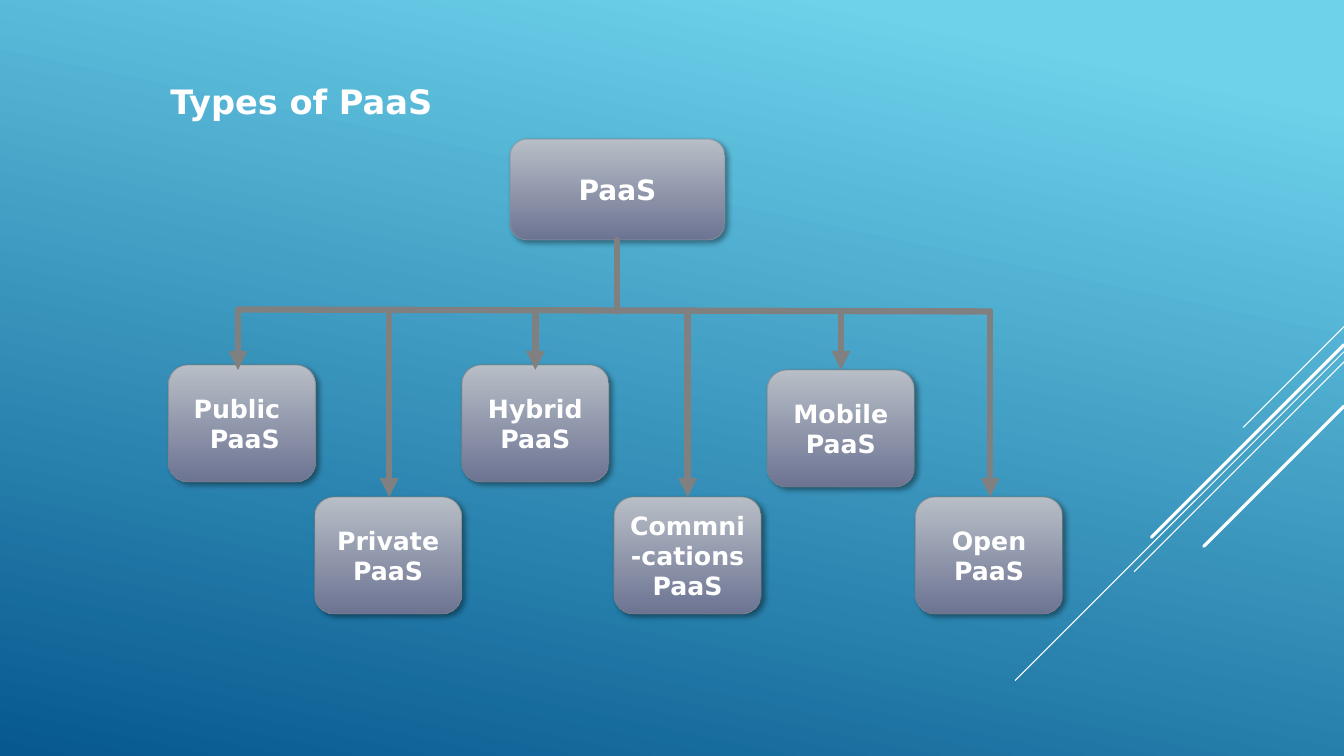
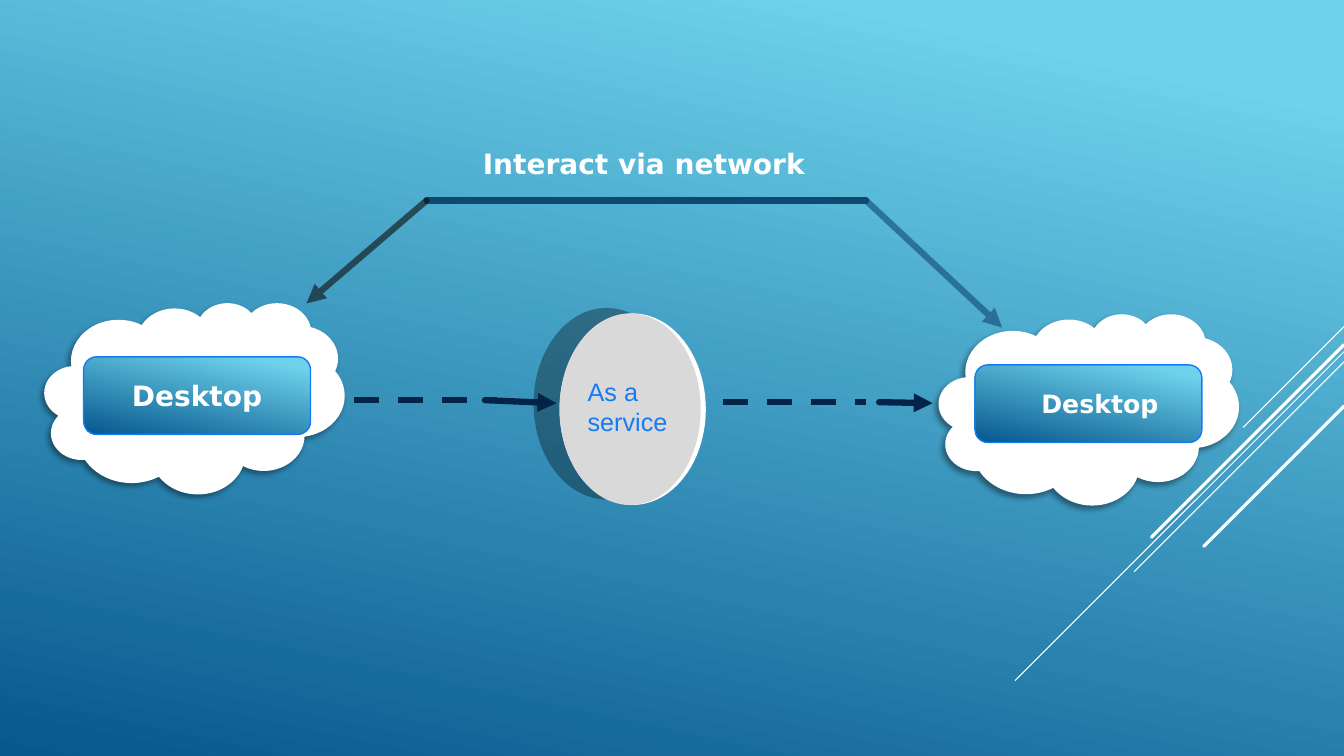
from lxml import etree
from pptx import Presentation
from pptx.dml.color import RGBColor
from pptx.enum.dml import MSO_LINE
from pptx.enum.shapes import MSO_CONNECTOR, MSO_SHAPE
from pptx.enum.text import MSO_ANCHOR, PP_ALIGN
from pptx.oxml.ns import qn
from pptx.util import Inches, Pt

ROUND = MSO_SHAPE.ROUNDED_RECTANGLE
CLOUD = MSO_SHAPE.CLOUD
OVAL = MSO_SHAPE.OVAL
STRAIGHT = MSO_CONNECTOR.STRAIGHT
DASH = MSO_LINE.DASH
LEFT, CENTER = PP_ALIGN.LEFT, PP_ALIGN.CENTER
TOP, MIDDLE = MSO_ANCHOR.TOP, MSO_ANCHOR.MIDDLE

WHITE = RGBColor(0xFF, 0xFF, 0xFF)
SKY = RGBColor(0x6E, 0xD2, 0xEB)
DEEP = RGBColor(0x06, 0x58, 0x8E)
SILVER = RGBColor(0xB8, 0xBE, 0xC6)
SLATE = RGBColor(0x6C, 0x74, 0x93)
EDGE = RGBColor(0x89, 0x91, 0x9C)
GRAY = RGBColor(0x80, 0x80, 0x80)
PALE = RGBColor(0xD9, 0xD9, 0xD9)
BLUE = RGBColor(0x16, 0x7B, 0xF3)
NAVY = RGBColor(0x04, 0x23, 0x49)
MARINE = RGBColor(0x0F, 0x49, 0x6F)
BLACK = RGBColor(0x0D, 0x0D, 0x0D)

SANS, ARIAL = "DejaVu Sans", "Arial"
WATER = (SKY, DEEP, 0.1, 102)
STEEL = (SILVER, SLATE, 0, 90)
SOFT = (40, 4, 3, 45)
BACK = (40, 4, 3, 135)
FAR = (33, 0, 19, 192)

WIDE, HIGH = 13.33, 7.5
RAYS = [(3.24, 1.0, 0.75), (3.49, 3.26, 0.75), (3.59, 2.08, 0.75),
        (3.42, 1.91, 2.25), (4.03, 1.39, 2.25)]

BAR = 3.09
NODE = (1.46, 1.16)
NODES = [
    ("Public\nPaaS", 1.67, 3.62, 2.36, 3.67),
    ("Hybrid PaaS", 4.58, 3.62, 5.31, 3.67),
    ("Commni-cations PaaS", 6.09, 4.93, 6.82, 4.93),
    ("Private PaaS", 3.12, 4.93, 3.86, 4.93),
    ("Mobile PaaS", 7.61, 3.67, 8.34, 3.67),
    ("Open PaaS", 9.08, 4.93, 9.82, 4.93),
]
NUDGE = [("marR", 0.1), ("marL", 0.16)]

CLOUDS = [(0.45, 3.01), (9.32, 3.12)]
DESKS = [(0.83, 3.54, 20, CENTER, 0.1), (9.67, 3.62, 18, LEFT, 0.62)]
LINKS = [
    ((4.23, 1.99), (8.59, 1.99), MARINE, {}),
    ((4.23, 1.99), (3.04, 3.01), BLACK, {"tip": True, "alpha": 60}),
    ((8.59, 1.99), (9.94, 3.25), MARINE, {"tip": True, "alpha": 60}),
]
FLOWS = [
    ((3.51, 3.97), (4.93, 3.97), NAVY, {"dash": True}),
    ((4.81, 3.97), (5.52, 4.0), NAVY, {"tip": True}),
    ((7.17, 3.99), (8.59, 3.99), NAVY, {"dash": True}),
    ((8.72, 3.99), (9.25, 4.0), NAVY, {"tip": True}),
]


def blend(fill, look):
    start, end, first, angle = look
    fill.gradient()
    fill.gradient_angle = 360 - angle
    for stop, color, place in zip(fill.gradient_stops, (start, end), (first, 1)):
        stop.color.rgb = color
        stop.position = place


def node(parent, tag, **attrs):
    return etree.SubElement(parent, qn(tag), {k: str(v) for k, v in attrs.items()})


def fade(line, alpha):
    color = line.fill._xPr.find(".//" + qn("a:srgbClr"))
    node(color, "a:alpha", val=alpha * 1000)


def draw(slide, start, end, color, width=4.5, tip=False, dash=False, alpha=100):
    link = slide.shapes.add_connector(STRAIGHT, *map(Inches, start + end))
    line = link.line
    line.color.rgb = color
    line.width = Pt(width)
    if alpha < 100:
        fade(line, alpha)
    props = link.element.spPr
    stroke = props.find(qn("a:ln"))
    if dash:
        line.dash_style = DASH
    else:
        stroke.set("cap", "rnd")
    if tip:
        node(stroke, "a:tailEnd", type="triangle")
    node(props, "a:effectLst")
    return link


def cast(shape, look):
    alpha, blur, dist, angle = look
    effects = shape.element.spPr.find(qn("a:effectLst"))
    shade = node(effects, "a:outerShdw", blurRad=Pt(blur), dist=Pt(dist),
                 dir=angle * 60000, algn="ctr", rotWithShape=0)
    color = node(shade, "a:srgbClr", val="000000")
    node(color, "a:alpha", val=alpha * 1000)


def form(slide, kind, box, fill, edge=None, width=0.75, alpha=100, shade=None):
    shape = slide.shapes.add_shape(kind, *map(Inches, box))
    shape.shadow.inherit = False
    if isinstance(fill, RGBColor):
        shape.fill.solid()
        shape.fill.fore_color.rgb = fill
    else:
        blend(shape.fill, fill)
    if edge is None:
        shape.line.fill.background()
    else:
        shape.line.color.rgb = edge
        shape.line.width = Pt(width)
        if alpha < 100:
            fade(shape.line, alpha)
    if shade:
        cast(shape, shade)
    return shape


def write(shape, text, size, align=CENTER, anchor=MIDDLE, font=SANS,
          color=WHITE, bold=True):
    frame = shape.text_frame
    frame.text = text
    frame.word_wrap = True
    frame.vertical_anchor = anchor
    for para in frame.paragraphs:
        para.alignment = align
        for run in para.runs:
            run.font.size = Pt(size)
            run.font.name = font
            run.font.bold = bold
            run.font.color.rgb = color
    return frame


def label(slide, box, text, size, **style):
    shape = slide.shapes.add_textbox(*map(Inches, box))
    write(shape, text, size, align=LEFT, anchor=TOP, **style)


def theme(deck, slide):
    master = deck.slide_master
    blend(master.background.fill, WATER)
    for index, (top, span, width) in enumerate(RAYS):
        ray = draw(slide, (WIDE, top), (WIDE - span, top + span), WHITE, width)
        ray.element.nvCxnSpPr.cNvPr.id = 20 + index
        master.shapes.element.append(ray.element)


def types(slide):
    root = form(slide, ROUND, (5.06, 1.38, 2.13, 1), STEEL, EDGE, alpha=60, shade=SOFT)
    write(root, "PaaS", 20)
    draw(slide, (6.12, 2.38), (6.12, BAR), GRAY)
    draw(slide, (2.36, 3.07), (9.82, BAR), GRAY)
    for text, left, top, _, _ in NODES:
        box = form(slide, ROUND, (left, top) + NODE, STEEL, GRAY, alpha=60, shade=SOFT)
        frame = write(box, text, 18)
        if len(frame.paragraphs) > 1:
            for para, (side, gap) in zip(frame.paragraphs, NUDGE):
                para._p.get_or_add_pPr().set(side, str(Inches(gap)))
    for _, _, _, mid, end in NODES:
        draw(slide, (mid, BAR), (mid, end), GRAY, tip=True)
    label(slide, (1.59, 0.75, 3.72, 0.5), "Types of PaaS", 24)


def network(slide):
    for spot in CLOUDS:
        form(slide, CLOUD, spot + (2.96, 1.88), WHITE, WHITE, 1.25, shade=BACK)
    form(slide, OVAL, (5.55, 3.11, 1.45, 1.9), WHITE, shade=FAR)
    form(slide, OVAL, (5.55, 3.11, 1.4, 1.9), PALE)
    for start, end, color, style in LINKS:
        draw(slide, start, end, color, **style)
    for left, top, size, align, inset in DESKS:
        desk = form(slide, ROUND, (left, top, 2.25, 0.77), WATER, BLUE, 1)
        write(desk, "Desktop", size, align).margin_left = Inches(inset)
    label(slide, (5.73, 3.68, 1.02, 0.71), "As a\nservice", 18,
          font=ARIAL, color=BLUE, bold=False)
    label(slide, (4.69, 1.4, 6.68, 0.44), "Interact via network", 20)
    for start, end, color, style in FLOWS:
        draw(slide, start, end, color, **style)


def main():
    deck = Presentation()
    deck.slide_width, deck.slide_height = Inches(WIDE), Inches(HIGH)
    blank = deck.slide_layouts[6]
    first, second = (deck.slides.add_slide(blank) for _ in range(2))
    theme(deck, first)
    types(first)
    network(second)
    deck.save("out.pptx")


if __name__ == "__main__":
    main()
